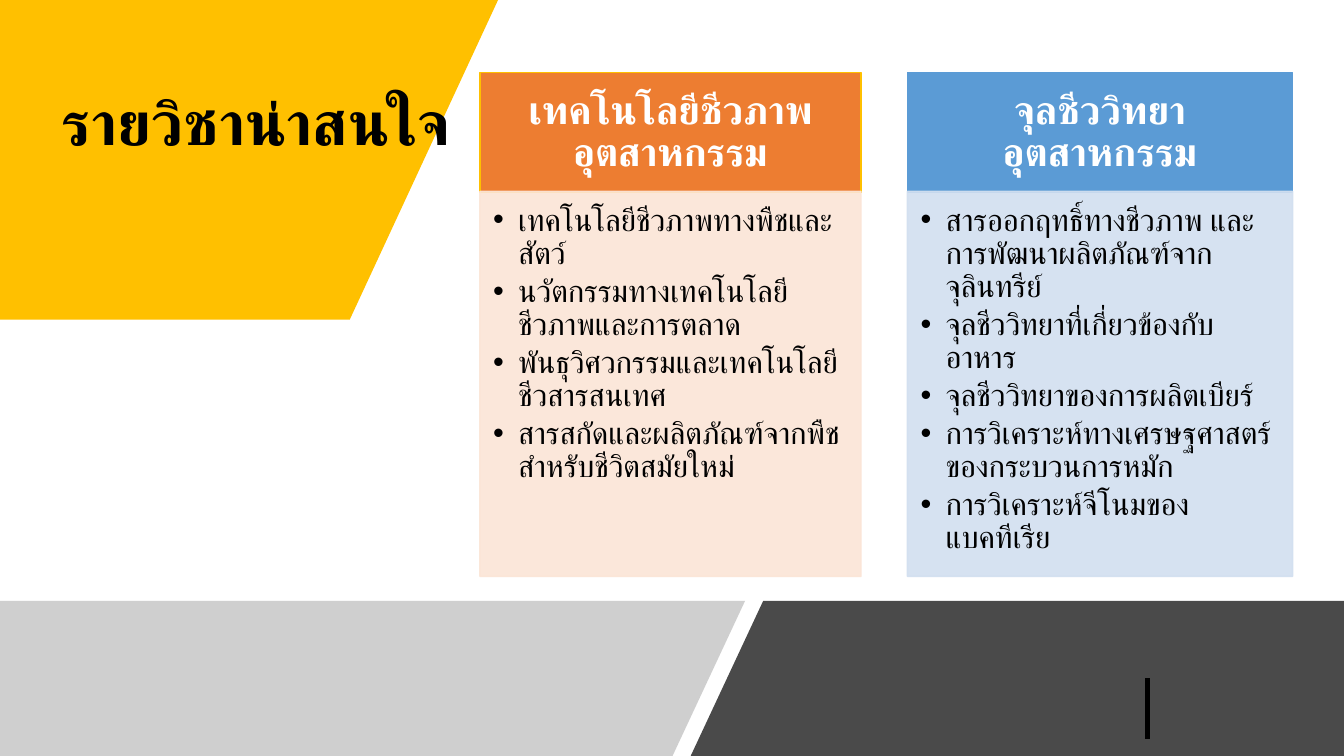
from lxml.etree import SubElement
from pptx import Presentation
from pptx.dml.color import RGBColor
from pptx.enum.shapes import MSO_CONNECTOR, MSO_SHAPE
from pptx.enum.text import MSO_ANCHOR, PP_ALIGN
from pptx.oxml.ns import qn
from pptx.util import Inches, Pt

WIDTH, HEIGHT = Inches(13.33), Inches(7.5)
FONT = "Calibri"
BLACK, WHITE, YELLOW = "000000", "FFFFFF", "FFC000"
CARD_TOP, HEADER_HEIGHT = 9.6, 15.87
BODY_TOP, BODY_HEIGHT = 25.33, 50.93
BAND_TOP = 79.47

COURSES = [
    {
        "left": 35.71,
        "width": 28.36,
        "colors": ("ED7D31", YELLOW, "FBE5D6"),
        "title": "เทคโนโลยีชีวภาพอุตสาหกรรม",
        "subjects": [
            "เทคโนโลยีชีวภาพทางพืชและสัตว์",
            "นวัตกรรมทางเทคโนโลยีชีวภาพและการตลาด",
            "พันธุวิศวกรรมและเทคโนโลยีชีวสารสนเทศ",
            "สารสกัดและผลิตภัณฑ์จากพืชสำหรับชีวิตสมัยใหม่",
        ],
    },
    {
        "left": 67.52,
        "width": 28.66,
        "colors": ("5B9BD5", "5B9BD5", "D2DFF0"),
        "title": "จุลชีววิทยาอุตสาหกรรม",
        "subjects": [
            "สารออกฤทธิ์ทางชีวภาพ และการพัฒนาผลิตภัณฑ์จากจุลินทรีย์",
            "จุลชีววิทยาที่เกี่ยวข้องกับอาหาร",
            "จุลชีววิทยาของการผลิตเบียร์",
            "การวิเคราะห์ทางเศรษฐศาสตร์ของกระบวนการหมัก",
            "การวิเคราะห์จีโนมของแบคทีเรีย",
        ],
    },
]


def across(percent):
    return round(WIDTH * percent / 100)


def down(percent):
    return round(HEIGHT * percent / 100)


def color(value):
    return RGBColor.from_string(value)


def paint(target, value, opacity=100):
    target.solid()
    target.fore_color.rgb = color(value)
    if opacity < 100:
        for swatch in target._xPr.find(qn("a:solidFill")):
            SubElement(swatch, qn("a:alpha"), val=str(opacity * 1000))


def add_polygon(slide, points, fill, opacity=100):
    corners = [(across(x), down(y)) for x, y in points]
    builder = slide.shapes.build_freeform(*corners[0])
    builder.add_line_segments(corners[1:], close=True)
    shape = builder.convert_to_shape()
    shape.shadow.inherit = False
    paint(shape.fill, fill, opacity)
    shape.line.fill.background()


def add_box(slide, left, top, width, height, fill, line, opacity=100):
    shape = slide.shapes.add_shape(
        MSO_SHAPE.RECTANGLE, across(left), down(top), across(width), down(height)
    )
    shape.shadow.inherit = False
    paint(shape.fill, fill, opacity)
    paint(shape.line.fill, line, opacity)
    shape.line.width = Pt(1)
    return shape


def set_frame(shape, anchor, margins):
    frame = shape.text_frame
    frame.word_wrap = True
    frame.vertical_anchor = anchor
    left, top, right, bottom = (Inches(margin) for margin in margins)
    frame.margin_left, frame.margin_top = left, top
    frame.margin_right, frame.margin_bottom = right, bottom
    return frame


def write(paragraph, text, size, ink, bold=False, align=PP_ALIGN.LEFT, gap=0):
    paragraph.text = text
    paragraph.alignment = align
    paragraph.line_spacing = 0.9
    paragraph.space_after = Pt(size * gap)
    for run in paragraph.runs:
        run.font.name = FONT
        run.font.size = Pt(size)
        run.font.bold = bold
        run.font.color.rgb = color(ink)


def add_bullet(paragraph):
    properties = paragraph._p.get_or_add_pPr()
    properties.set("marL", str(Inches(0.25)))
    properties.set("indent", str(-Inches(0.25)))
    SubElement(properties, qn("a:buFont"), typeface="Arial")
    SubElement(properties, qn("a:buChar"), char="•")


def add_title(slide, text):
    box = slide.shapes.add_textbox(across(3.83), down(3.87), across(42.24), down(25.47))
    frame = set_frame(box, MSO_ANCHOR.MIDDLE, (0.1, 0.05, 0.1, 0.05))
    write(frame.paragraphs[0], text, 44, BLACK, bold=True)


def add_course(slide, left, width, colors, title, subjects):
    header_fill, header_line, body_fill = colors
    header = add_box(slide, left, CARD_TOP, width, HEADER_HEIGHT, header_fill, header_line)
    frame = set_frame(header, MSO_ANCHOR.MIDDLE, (0.22, 0.12, 0.22, 0.12))
    write(frame.paragraphs[0], title, 28, WHITE, bold=True, align=PP_ALIGN.CENTER)

    body = add_box(slide, left, BODY_TOP, width, BODY_HEIGHT, body_fill, body_fill, 90)
    frame = set_frame(body, MSO_ANCHOR.TOP, (0.13, 0.13, 0.17, 0.19))
    for index, subject in enumerate(subjects):
        paragraph = frame.add_paragraph() if index else frame.paragraphs[0]
        write(paragraph, subject, 22, BLACK, gap=0.15)
        add_bullet(paragraph)


def add_rule(slide, x, top, bottom):
    rule = slide.shapes.add_connector(
        MSO_CONNECTOR.STRAIGHT, across(x), down(top), across(x), down(bottom)
    )
    rule.line.width = Pt(3.5)
    paint(rule.line.fill, BLACK)
    SubElement(rule._element.spPr, qn("a:effectLst"))


def main():
    presentation = Presentation()
    presentation.slide_width, presentation.slide_height = WIDTH, HEIGHT
    slide = presentation.slides.add_slide(presentation.slide_layouts[6])

    add_polygon(slide, [(0, 0), (37.06, 0), (26.03, 42.27), (0, 42.27)], YELLOW)
    add_polygon(slide, [(56.79, BAND_TOP), (100, BAND_TOP), (100, 100), (51.39, 100)], "4A4A4A")
    add_polygon(slide, [(0, BAND_TOP), (55.44, BAND_TOP), (50.04, 100), (0, 100)], "898989", 40)
    for course in COURSES:
        add_course(slide, **course)
    add_title(slide, "รายวิชาน่าสนใจ")
    add_rule(slide, 85.37, 89.73, 97.73)

    presentation.save("out.pptx")


if __name__ == "__main__":
    main()
